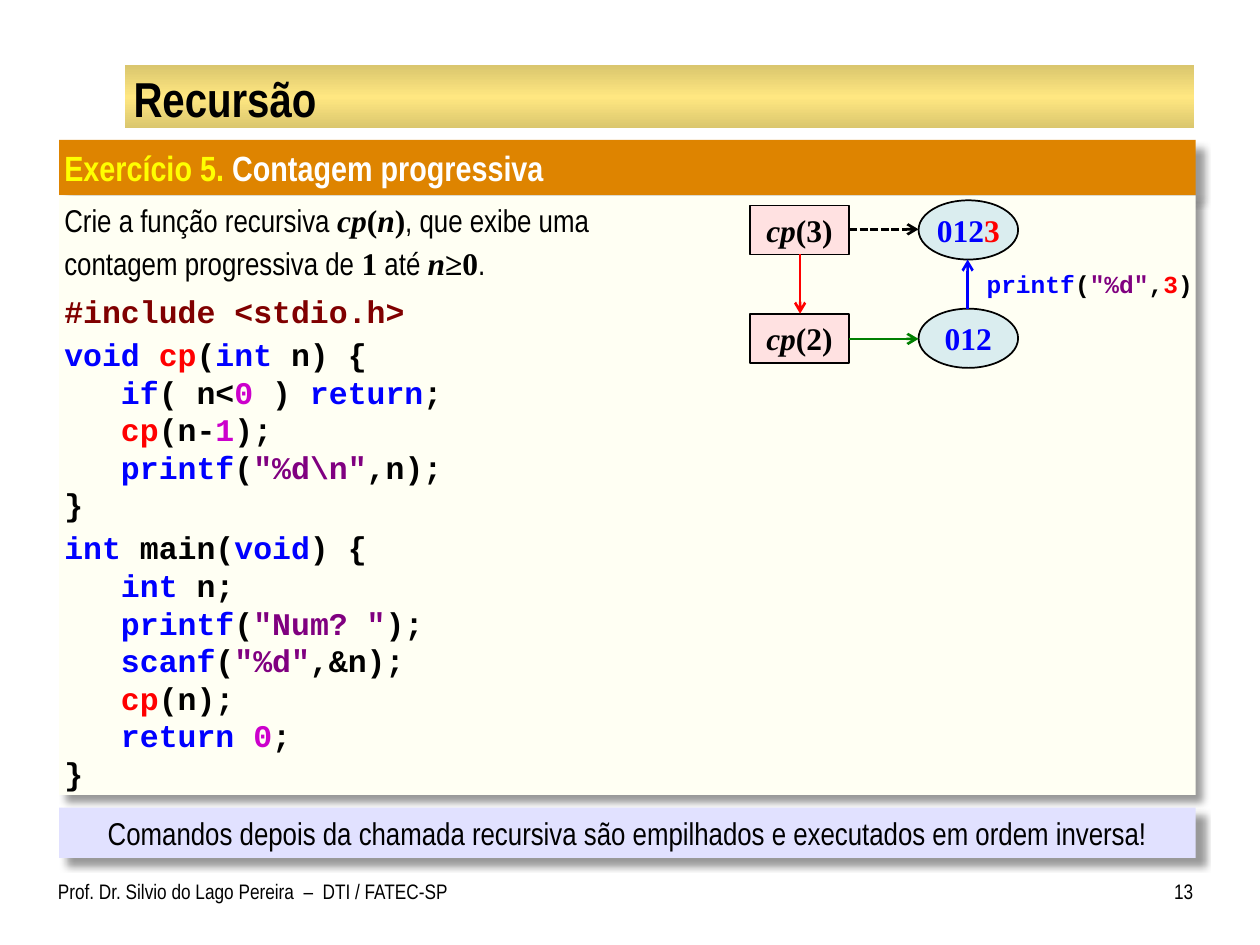
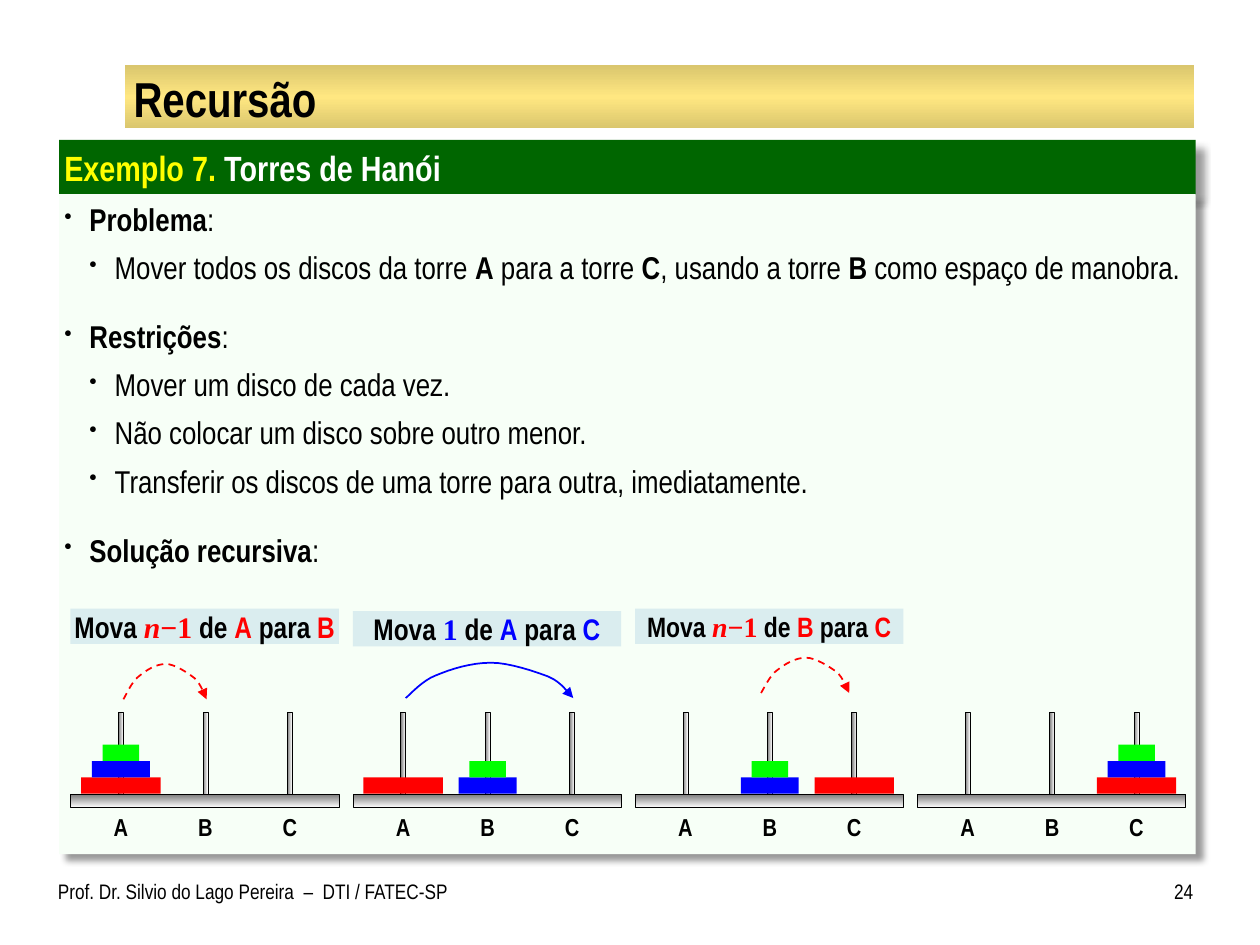
import collections
import copy

import pptx
import pptx.dml.color
import pptx.enum.dml
import pptx.enum.shapes
import pptx.enum.text
import pptx.oxml.ns
import pptx.oxml.xmlchemy
import pptx.util

EMU_PER_PX = 9144
NARROW, SERIF, MONO = "Arial Narrow", "Times New Roman", "Courier New"
BLACK, WHITE, RED, BLUE, LIME, YELLOW = "000000", "FFFFFF", "FF0000", "0000FF", "00FF00", "FFFF00"
GOLD_EDGE, GOLD = "DAC66E", "FFE781"
STEEL = ("767676", WHITE)
PALE_BLUE, PALE_RED = "DAEDEF", "FFE1E1"
BODY_LINE_PT = 21.5

RECT = pptx.enum.shapes.MSO_SHAPE.RECTANGLE
OVAL = pptx.enum.shapes.MSO_SHAPE.OVAL
LEFT = pptx.enum.text.PP_ALIGN.LEFT
CENTER = pptx.enum.text.PP_ALIGN.CENTER
RIGHT = pptx.enum.text.PP_ALIGN.RIGHT
TOP = pptx.enum.text.MSO_ANCHOR.TOP
MIDDLE = pptx.enum.text.MSO_ANCHOR.MIDDLE
DASH = pptx.enum.dml.MSO_LINE.DASH
SHORT_DASH = pptx.enum.dml.MSO_LINE.SQUARE_DOT

Style = collections.namedtuple("Style", "font color bold italic", defaults=(False, False))
Paragraph = collections.namedtuple("Paragraph", "runs before level", defaults=(0, None))

PROSE = Style(NARROW, BLACK)
STRONG = Style(NARROW, BLACK, True)
STRONG_RED = Style(NARROW, RED, True)
STRONG_BLUE = Style(NARROW, BLUE, True)
MATH = Style(SERIF, BLACK, True)
VARIABLE = Style(SERIF, BLACK, True, True)
MATH_RED = Style(SERIF, RED, True)
VARIABLE_RED = Style(SERIF, RED, True, True)
MATH_BLUE = Style(SERIF, BLUE, True)
CODE = Style(MONO, BLACK, True)
KEYWORD = Style(MONO, BLUE, True)
CALL = Style(MONO, RED, True)
NUMBER = Style(MONO, "CC00CC", True)
STRING = Style(MONO, "800080", True)
DIRECTIVE = Style(MONO, "800000", True)

EXERCISE = [
    Paragraph([("Crie a função recursiva ", PROSE), ("cp", VARIABLE), ("(", MATH), ("n", VARIABLE),
               (")", MATH), (", que exibe uma", PROSE)]),
    Paragraph([("contagem progressiva de ", PROSE), ("1", MATH), (" até ", PROSE), ("n", VARIABLE),
               ("≥0", MATH), (".", PROSE)], 3),
    Paragraph([("#include <stdio.h>", DIRECTIVE)], 6),
    Paragraph([("void ", KEYWORD), ("cp", CALL), ("(", CODE), ("int", KEYWORD), (" n) {", CODE)], 3),
    Paragraph([("   if", KEYWORD), ("( n<", CODE), ("0", NUMBER), (" ) ", CODE),
               ("return", KEYWORD), (";", CODE)]),
    Paragraph([("   cp", CALL), ("(n-", CODE), ("1", NUMBER), (");", CODE)]),
    Paragraph([("   printf", KEYWORD), ("(", CODE), ('"%d\\n"', STRING), (",n);", CODE)]),
    Paragraph([("}", CODE)]),
    Paragraph([("int ", KEYWORD), ("main(", CODE), ("void", KEYWORD), (") {", CODE)], 3),
    Paragraph([("   int ", KEYWORD), ("n;", CODE)]),
    Paragraph([("   printf", KEYWORD), ("(", CODE), ('"Num? "', STRING), (");", CODE)]),
    Paragraph([("   scanf", KEYWORD), ("(", CODE), ('"%d"', STRING), (",&n);", CODE)]),
    Paragraph([("   cp", CALL), ("(n);", CODE)]),
    Paragraph([("   return ", KEYWORD), ("0", NUMBER), (";", CODE)]),
    Paragraph([("}", CODE)]),
]

HANOI_RULES = [
    Paragraph([("Problema", STRONG), (":", PROSE)], 0, 0),
    Paragraph([("Mover todos os discos da torre ", PROSE), ("A", STRONG), (" para a torre ", PROSE),
               ("C", STRONG), (", usando a torre ", PROSE), ("B", STRONG),
               (" como espaço de manobra.", PROSE)], 6, 1),
    Paragraph([("Restrições", STRONG), (":", PROSE)], 18, 0),
    Paragraph([("Mover um disco de cada vez.", PROSE)], 6, 1),
    Paragraph([("Não colocar um disco sobre outro menor.", PROSE)], 6, 1),
    Paragraph([("Transferir os discos de uma torre para outra, imediatamente.", PROSE)], 6, 1),
    Paragraph([("Solução recursiva", STRONG), (":", PROSE)], 18, 0),
]

DISCS = {"small": (29, LIME), "medium": (46, BLUE), "large": (63, RED)}
ARC = [(0, 1), (.03, .89), (.1, .5), (.18, .36), (.27, .18), (.39, 0), (.51, 0),
       (.62, 0), (.77, .25), (.85, .39), (.94, .57), (.97, .89), (1, 1)]


def px(value):
    return pptx.util.Emu(round(value * EMU_PER_PX))


def rgb(color):
    return pptx.dml.color.RGBColor.from_string(color)


def sub_element(parent, tag, **attributes):
    child = parent.makeelement(pptx.oxml.ns.qn(tag), attributes)
    parent.append(child)
    return child


def write(frame, paragraphs, size, align=LEFT, anchor=TOP, insets=(0, 0), wrap=True, line_pt=None):
    frame.word_wrap = wrap
    frame.auto_size = pptx.enum.text.MSO_AUTO_SIZE.NONE
    frame.vertical_anchor = anchor
    frame.margin_left = frame.margin_right = px(insets[0])
    frame.margin_top = frame.margin_bottom = px(insets[1])
    for index, content in enumerate(paragraphs):
        paragraph = frame.add_paragraph() if index else frame.paragraphs[0]
        paragraph.alignment = align
        paragraph.space_before = pptx.util.Pt(content.before)
        if line_pt:
            paragraph.line_spacing = pptx.util.Pt(line_pt)
        if content.level is not None:
            add_bullet(paragraph, content.level)
        for text, style in content.runs:
            run = paragraph.add_run()
            run.text = text
            run.font.name, run.font.size = style.font, pptx.util.Pt(size)
            run.font.bold, run.font.italic = style.bold, style.italic
            run.font.color.rgb = rgb(style.color)


def add_bullet(paragraph, level):
    paragraph.level = level
    properties = paragraph._p.get_or_add_pPr()
    properties.set("marL", str(px(20 * (level + 1))))
    properties.set("indent", str(px(-20)))
    sub_element(properties, "a:buSzPct", val="70000")
    sub_element(properties, "a:buChar", char="•")


def add_figure(slide, at, fill, geometry=RECT, line_pt=0):
    figure = slide.shapes.add_shape(geometry, *map(px, at))
    figure.shadow.inherit = False
    figure.fill.solid()
    figure.fill.fore_color.rgb = rgb(fill)
    if line_pt:
        figure.line.color.rgb = rgb(BLACK)
        figure.line.width = pptx.util.Pt(line_pt)
    else:
        figure.line.fill.background()
    return figure


def set_gradient(figure, colors, angle):
    figure.fill.gradient()
    figure.fill.gradient_angle = angle
    stops = figure._element.spPr.find(".//" + pptx.oxml.ns.qn("a:gsLst"))
    while len(stops) < len(colors):
        stops.append(copy.deepcopy(stops[-1]))
    for index, (stop, color) in enumerate(zip(figure.fill.gradient_stops, colors)):
        stop.color.rgb = rgb(color)
        stop.position = index / (len(colors) - 1)


def add_panel(slide, at, fill, paragraphs, size, **layout):
    panel = add_figure(slide, at, fill)
    effects = panel._element.spPr.find(pptx.oxml.ns.qn("a:effectLst"))
    shadow = sub_element(effects, "a:outerShdw", blurRad=str(pptx.util.Pt(4)),
                         dist=str(pptx.util.Pt(6)), dir="2700000", algn="tl", rotWithShape="0")
    sub_element(sub_element(shadow, "a:srgbClr", val=BLACK), "a:alpha", val="40000")
    write(panel.text_frame, paragraphs, size, insets=(4, 5), **layout)


def add_label(slide, at, runs, size, **layout):
    label = slide.shapes.add_textbox(*map(px, at))
    write(label.text_frame, [Paragraph(runs)], size, **layout)


def style_arrow(arrow, color, width_pt, head, dash):
    arrow.line.color.rgb = rgb(color)
    arrow.line.width = pptx.util.Pt(width_pt)
    if dash:
        arrow.line.dash_style = dash
    sub_element(arrow.line._get_or_add_ln(), "a:tailEnd", type=head)


def add_arrow(slide, start, end, color, dash=None):
    arrow = slide.shapes.add_connector(pptx.enum.shapes.MSO_CONNECTOR.STRAIGHT,
                                       *map(px, start + end))
    style_arrow(arrow, color, 1.5, "arrow", dash)
    sub_element(arrow._element.spPr, "a:effectLst")


def bezier(controls, t):
    weights = ((1 - t) ** 3, 3 * t * (1 - t) ** 2, 3 * t * t * (1 - t), t ** 3)
    return tuple(sum(w * point[axis] for w, point in zip(weights, controls)) for axis in (0, 1))


def add_arc(slide, left, top, width, color, dash=None, height=28, steps=8):
    curve = [bezier(ARC[first:first + 4], step / steps)
             for first in range(0, len(ARC) - 1, 3) for step in range(1, steps + 1)]
    points = [(px(left + width * x), px(top + height * y)) for x, y in ARC[:1] + curve]
    builder = slide.shapes.build_freeform(*points[0])
    builder.add_line_segments(points[1:], close=False)
    arc = builder.convert_to_shape()
    arc.shadow.inherit = False
    arc.fill.background()
    style_arrow(arc, color, 1, "triangle", dash)


def add_layout_band(slide):
    band = add_figure(slide, (99, 52, 849, 50), GOLD)
    set_gradient(band, (GOLD_EDGE, GOLD, GOLD_EDGE), 270)
    slide.slide_layout.shapes._spTree.insert(2, band._element)


def add_lesson_slide(deck, number, heading_color, kind, topic):
    slide = deck.slides.add_slide(deck.slide_layouts[5])
    title = slide.shapes.title
    title.left, title.top, title.width, title.height = map(px, (100, 54, 847, 47))
    write(title.text_frame, [Paragraph([("Recursão", STRONG)])], 28, anchor=MIDDLE, insets=(6, 1))
    add_panel(slide, (47, 111, 902, 44), heading_color,
              [Paragraph([(kind, Style(NARROW, YELLOW, True)),
                          (" " + topic, Style(NARROW, WHITE, True))])], 20)
    add_label(slide, (46, 692, 327, 42),
              [("Prof. Dr. Silvio do Lago Pereira  –  DTI / FATEC-SP", PROSE)], 12, insets=(0, 5))
    add_label(slide, (908, 692, 39, 42), [(str(number), PROSE)], 12, align=RIGHT, insets=(0, 5))
    return slide


def add_node(slide, left, top, height, runs, fill, geometry):
    node = add_figure(slide, (left, top, 79, height), fill, geometry, 1)
    write(node.text_frame, [Paragraph(runs)], 18, CENTER, MIDDLE, (0, 4))


def add_call_diagram(slide):
    for top, argument in ((163, 3), (249, 2)):
        add_node(slide, 595, top, 39, [("cp", VARIABLE), (f"({argument})", MATH)], PALE_RED, RECT)
    for top, runs in ((159, [("012", MATH_BLUE), ("3", MATH_RED)]), (245, [("012", MATH_BLUE)])):
        add_node(slide, 729, top, 47, runs, PALE_BLUE, OVAL)
    add_arrow(slide, (635, 202), (635, 249), RED)
    add_arrow(slide, (768, 245), (768, 206), BLUE)
    add_arrow(slide, (674, 182), (729, 182), BLACK, SHORT_DASH)
    add_arrow(slide, (674, 269), (729, 269), "008000")
    add_label(slide, (783, 206, 165, 39),
              [("printf", KEYWORD), ("(", CODE), ('"%d"', STRING), (",", CODE), ("3", CALL),
               (")", CODE)], 14, anchor=MIDDLE, insets=(0, 4))


def add_towers(slide, left, stacks, floor=630, disc_height=13):
    base = add_figure(slide, (left, floor, 213, 11), WHITE, line_pt=.25)
    set_gradient(base, STEEL, 270)
    for index, (tower, stack) in enumerate(zip("ABC", stacks)):
        center = left + 40 + 67 * index
        peg = add_figure(slide, (center - 2, floor - 65, 4, 65), WHITE, line_pt=.25)
        set_gradient(peg, STEEL, 0)
        add_label(slide, (center - 15, 643, 30, 26), [(tower, STRONG)], 14,
                  align=CENTER, anchor=MIDDLE, wrap=False)
        for level, disc in enumerate(stack, 1):
            width, color = DISCS[disc]
            add_figure(slide, (center - width / 2, floor - disc_height * level,
                               width, disc_height), color)


def add_move(slide, left, top, count, source, target, name_style, size):
    caption = add_figure(slide, (left, top, 213, 28), PALE_BLUE)
    runs = [("Mova ", STRONG), *count, (" de ", STRONG), (source, name_style),
            (" para ", STRONG), (target, name_style)]
    write(caption.text_frame, [Paragraph(runs)], size, CENTER, MIDDLE, wrap=False)


def main():
    deck = pptx.Presentation()
    deck.slide_width, deck.slide_height = px(1000), px(750)

    counting = add_lesson_slide(deck, 13, "DE8400", "Exercício 5.", "Contagem progressiva")
    add_layout_band(counting)
    add_panel(counting, (47, 155, 902, 476), "FFFFF3", EXERCISE, 18, line_pt=BODY_LINE_PT)
    add_call_diagram(counting)
    add_panel(counting, (47, 641, 902, 40), "E1E1FF",
              [Paragraph([("Comandos depois da chamada recursiva são empilhados e executados "
                           "em ordem inversa!", PROSE)])], 18, align=CENTER)

    hanoi = add_lesson_slide(deck, 24, "006600", "Exemplo 7.", "Torres de Hanói")
    add_panel(hanoi, (47, 154, 902, 524), "F7FFF7", HANOI_RULES, 18, line_pt=BODY_LINE_PT)
    full, rest = ("large", "medium", "small"), ("medium", "small")
    stages = [(full, (), ()), (("large",), rest, ()), ((), rest, ("large",)), ((), (), full)]
    lefts = [56 + 224 * index for index in range(len(stages))]
    for left, stacks in zip(lefts, stages):
        add_towers(hanoi, left, stacks)
    all_but_one = [("n", VARIABLE_RED), ("−1", MATH_RED)]
    add_move(hanoi, lefts[0], 483, all_but_one, "A", "B", STRONG_RED, 17)
    add_move(hanoi, lefts[1], 485, [("1", MATH_BLUE)], "A", "C", STRONG_BLUE, 17)
    add_move(hanoi, lefts[2], 483, all_but_one, "B", "C", STRONG_RED, 16)
    add_arc(hanoi, 98, 527, 66, RED, DASH)
    add_arc(hanoi, 322, 526, 133, BLUE)
    add_arc(hanoi, 604, 522, 70, RED, DASH)

    deck.save("out.pptx")


if __name__ == "__main__":
    main()
